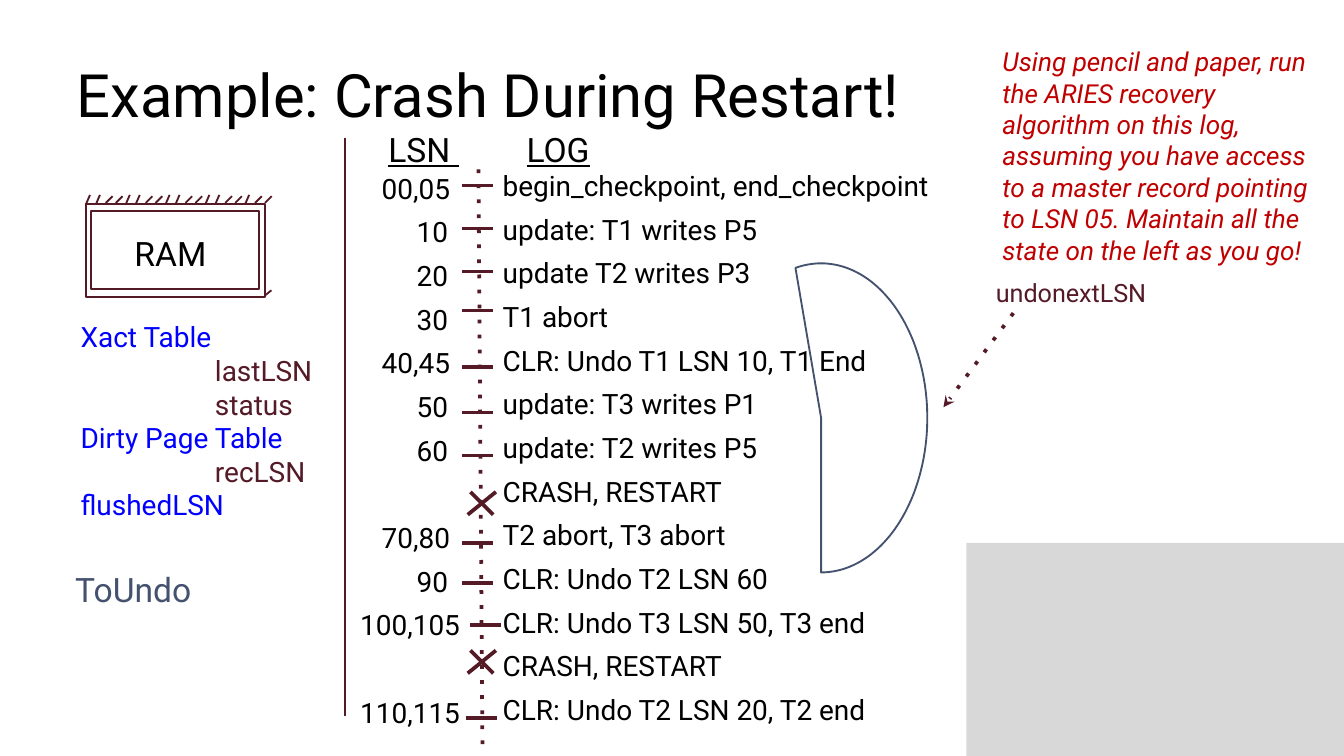
import math
from dataclasses import dataclass

import pptx
import pptx.dml.color
import pptx.enum.shapes
import pptx.enum.text
import pptx.oxml.ns
import pptx.util
from lxml import etree

Inches = pptx.util.Inches
Pt = pptx.util.Pt
qn = pptx.oxml.ns.qn
FONT = "Roboto"
COLORS = {
    "ink": "000000",
    "wine": "541B27",
    "blue": "0000FF",
    "slate": "44516F",
    "red": "C00000",
    "gray": "D8D8D8",
}


@dataclass
class Para:
    text: str
    color: str = "ink"
    indent: float = 0
    before: float = 0


@dataclass
class Row:
    """One log record; a crash has no LSN and gets a cross whose top is y."""
    lsn: str
    log: str
    y: float
    x: float = 3.44


STATE = [
    Para("Xact Table", "blue"),
    Para("lastLSN", "wine", 1),
    Para("status", "wine", 1),
    Para("Dirty Page Table", "blue"),
    Para("recLSN", "wine", 1),
    Para("flushedLSN", "blue"),
]
ROWS = [
    Row("00,05", "begin_checkpoint, end_checkpoint", 1.38),
    Row("10", "update: T1 writes P5", 1.7),
    Row("20", "update T2 writes P3", 2.02),
    Row("30", "T1 abort", 2.31),
    Row("40,45", "CLR: Undo T1 LSN 10, T1 End", 2.73),
    Row("50", "update: T3 writes P1", 3.07),
    Row("60", "update: T2 writes P5", 3.39),
    Row("", "CRASH, RESTART", 3.66),
    Row("70,80", "T2 abort, T3 abort", 4.04),
    Row("90", "CLR: Undo T2 LSN 60", 4.34),
    Row("100,105", "CLR: Undo T3 LSN 50, T3 end", 4.65, 3.5),
    Row("", "CRASH, RESTART", 4.84),
    Row("110,115", "CLR: Undo T2 LSN 20, T2 end", 5.34, 3.47),
]
PITCH = 23.4  # points from one log row to the next
INDENT = {2: 0.42, 5: 0.16, 7: 0}  # by length of the LSN text


def rgb(name: str):
    return pptx.dml.color.RGBColor.from_string(COLORS[name])


def add_run(para, text: str, size: float, color: str):
    run = para.add_run()
    run.text = text
    run.font.name = FONT
    run.font.size = Pt(size)
    run.font.color.rgb = rgb(color)
    return run


def set_inset(frame, side: float = 0.07, top: float = 0.04) -> None:
    frame.margin_left = frame.margin_right = Inches(side)
    frame.margin_top = frame.margin_bottom = Inches(top)


def add_text(slide, box: tuple, paras: list, size: float, spacing: float = 1):
    frame = slide.shapes.add_textbox(*map(Inches, box)).text_frame
    frame.word_wrap = True
    frame.auto_size = pptx.enum.text.MSO_AUTO_SIZE.SHAPE_TO_FIT_TEXT
    set_inset(frame)
    for i, item in enumerate(paras):
        para = frame.add_paragraph() if i else frame.paragraphs[0]
        para.line_spacing = spacing
        para.space_before = Pt(item.before)
        if item.indent:
            props = para._p.get_or_add_pPr()
            props.set("marL", str(Inches(item.indent)))
            props.set("indent", "0")
        add_run(para, item.text, size, item.color)
    return frame


def add_line(slide, start: tuple, end: tuple, width: float = 2,
             dotted: bool = False, arrow: bool = False) -> None:
    line = slide.shapes.add_connector(
        pptx.enum.shapes.MSO_CONNECTOR.STRAIGHT, *map(Inches, start + end))
    line.line.color.rgb = rgb("wine")
    line.line.width = Pt(width)
    props = line.element.spPr
    stroke = props.find(qn("a:ln"))
    if dotted:
        etree.SubElement(stroke, qn("a:prstDash"), val="dot")
    if arrow:
        etree.SubElement(stroke, qn("a:tailEnd"), type="stealth")
    etree.SubElement(props, qn("a:effectLst"))


def style(shape, line: str = "", fill: str = "") -> None:
    shape.shadow.inherit = False
    if fill:
        shape.fill.solid()
        shape.fill.fore_color.rgb = rgb(fill)
    else:
        shape.fill.background()
    if line:
        shape.line.color.rgb = rgb(line)
        shape.line.width = Pt(1)
    else:
        shape.line.fill.background()


def add_rect(slide, box: tuple, line: str = "", fill: str = "") -> None:
    rect = slide.shapes.add_shape(
        pptx.enum.shapes.MSO_SHAPE.RECTANGLE, *map(Inches, box))
    style(rect, line, fill)


def add_title(slide) -> None:
    title = slide.shapes.title
    title.left, title.top, title.width, title.height = map(
        Inches, (0.5, 0.23, 9, 0.94))
    frame = title.text_frame
    frame.auto_size = pptx.enum.text.MSO_AUTO_SIZE.NONE
    frame.vertical_anchor = pptx.enum.text.MSO_ANCHOR.MIDDLE
    set_inset(frame)
    para = frame.paragraphs[0]
    para.alignment = pptx.enum.text.PP_ALIGN.LEFT
    add_run(para, "Example: Crash During Restart!", 32, "ink")


def add_ram(slide) -> None:
    """Draw the RAM box with its hatched top edge."""
    add_text(slide, (0.93, 1.69, 0.71, 0.38), [Para("RAM")], 18)
    add_rect(slide, (0.64, 1.52, 1.33, 0.69), "wine")
    for i in range(19):
        x = 0.64 + 0.074 * i
        if i % 4 > 1 or i == 17:
            add_line(slide, (x + 0.05, 1.46), (x, 1.51), 1)
        else:
            add_line(slide, (x, 1.52), (x + 0.03, 1.45), 1)
    add_line(slide, (2.02, 2.16), (1.97, 2.2), 1)
    add_rect(slide, (0.68, 1.57, 1.25, 0.58), "wine")


def add_head(slide) -> None:
    """Write both column heads on one underline, parted by a wide space."""
    frame = add_text(slide, (2.82, 0.92, 1.79, 0.39), [Para("LSN")], 18)
    para = frame.paragraphs[0]
    space = add_run(para, " ", 18, "ink")
    space.font._element.set("spc", "3630")
    add_run(para, "LOG", 18, "ink")
    for run in para.runs:
        run.font.underline = True


def add_log(slide) -> None:
    add_text(slide, (3.67, 1.14, 3.39, 4.31),
             [Para(row.log) for row in ROWS], 15, 1.3)
    add_line(slide, (3.56, 1.26), (3.59, 5.57), dotted=True)
    for row in ROWS:
        if row.lsn:
            add_line(slide, (row.x, row.y), (row.x + 0.23, row.y))
        else:
            add_line(slide, (3.5, row.y), (3.67, row.y + 0.17))
            add_line(slide, (3.69, row.y), (3.48, row.y + 0.17))
    add_head(slide)
    lsns, gap = [], 0
    for row in ROWS:
        if row.lsn:
            lsns.append(Para(row.lsn, "ink", INDENT[len(row.lsn)], gap))
            gap = 0
        else:
            gap += PITCH
    add_text(slide, (2.61, 1.16, 1.12, 4.31), lsns, 15, 1.3)


def add_arc(slide) -> None:
    """Draw the half-ellipse wedge beside the log."""
    mid = (6.11, 3.11)
    points = [(Inches(mid[0] + 0.79 * math.cos(math.radians(a))),
               Inches(mid[1] + 1.15 * math.sin(math.radians(a))))
              for a in range(-104, 91, 2)]
    outline = slide.shapes.build_freeform(*points[0])
    outline.add_line_segments(points[1:] + [tuple(map(Inches, mid))])
    style(outline.convert_to_shape(), "slate")


def main() -> None:
    deck = pptx.Presentation()
    deck.slide_width = Inches(10)
    deck.slide_height = deck.slide_width * 9 // 16
    slide = deck.slides.add_slide(deck.slide_layouts[5])
    add_rect(slide, (7.19, 4.04, 2.81, 1.59), fill="gray")
    add_title(slide)
    add_text(slide, (0.53, 2.34, 1.9, 1.84), STATE, 15)
    add_line(slide, (2.57, 1.03), (2.57, 5.33), 1)
    add_text(slide, (0.49, 4.19, 1.03, 0.38), [Para("ToUndo", "slate")], 18)
    add_ram(slide)
    add_log(slide)
    add_text(slide, (7.34, 2.02, 1.31, 0.31),
             [Para("undonextLSN", "wine")], 13.5)
    add_line(slide, (7.54, 2.33), (7.02, 3.03), dotted=True, arrow=True)
    add_arc(slide)
    task = add_text(slide, (7.36, 0.29, 2.53, 1.99), [Para(
        "Using pencil and paper, run the ARIES recovery algorithm on this "
        "log, assuming you have access to a master record pointing to LSN "
        "05. Maintain all the state on the left as you go!", "red")], 14)
    set_inset(task, 0.1, 0.05)
    task.paragraphs[0].runs[0].font.italic = True
    deck.save("out.pptx")


if __name__ == "__main__":
    main()
